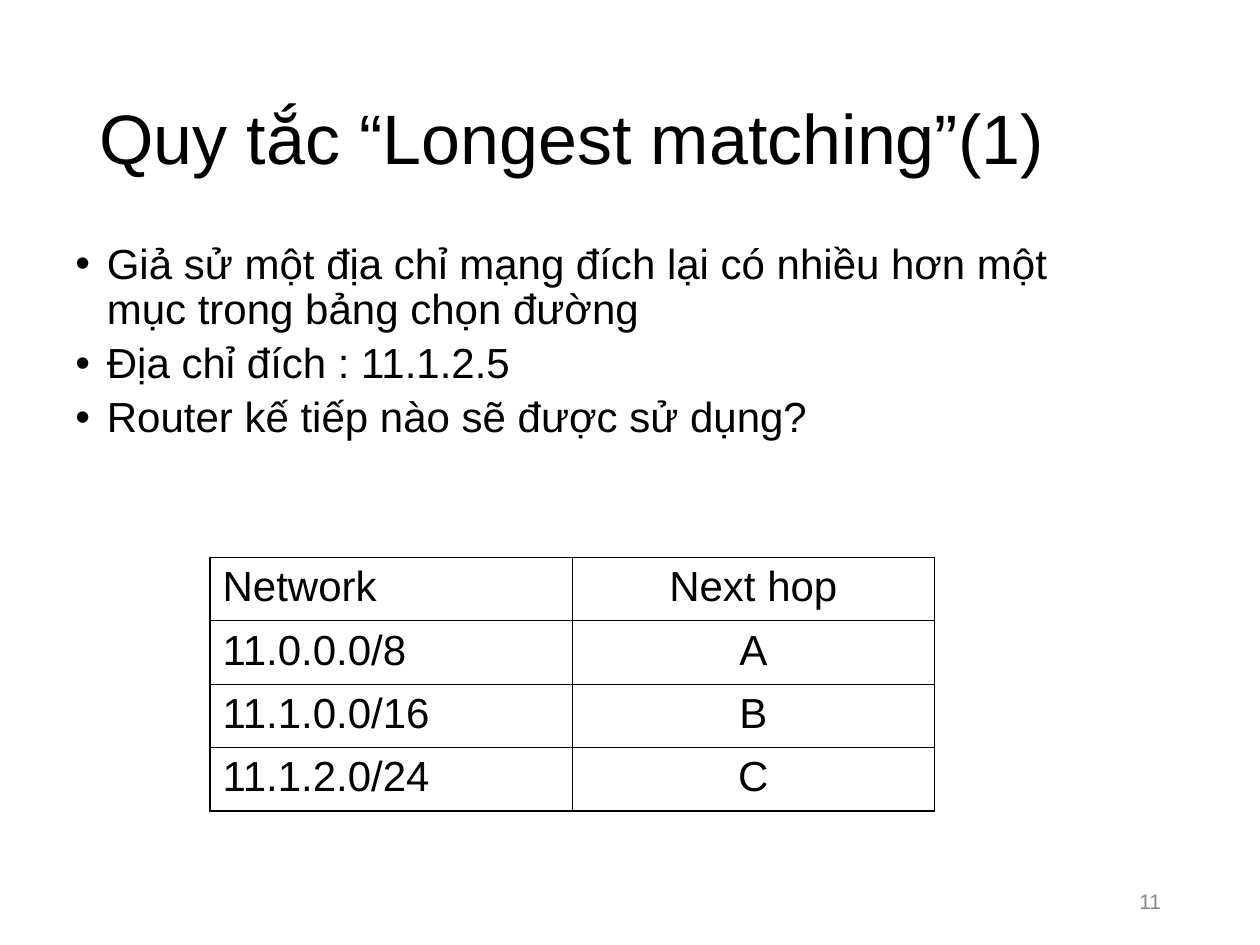
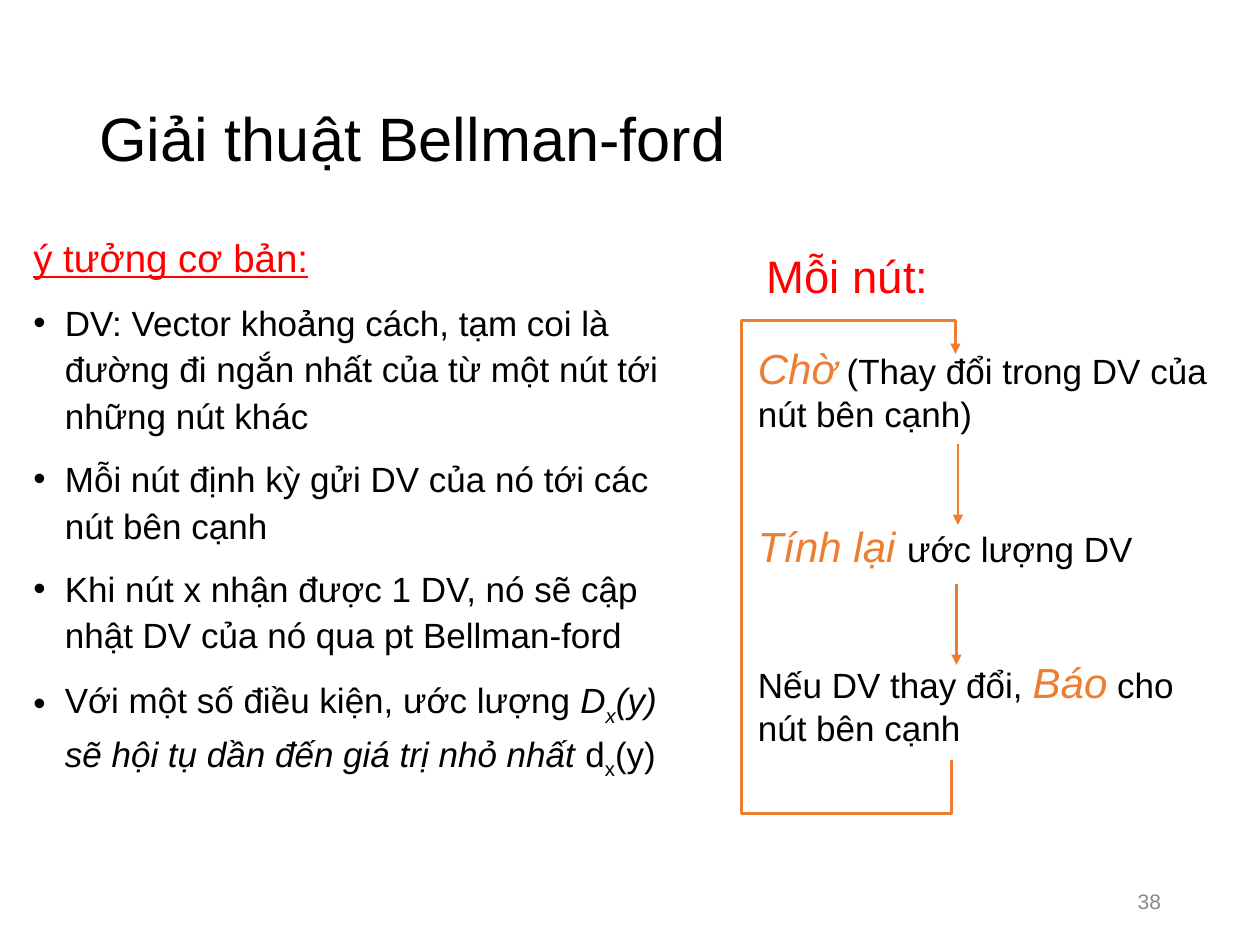
from lxml import etree
from pptx import Presentation
from pptx.dml.color import RGBColor
from pptx.enum.shapes import MSO_CONNECTOR as Connector
from pptx.enum.text import MSO_ANCHOR as Anchor, PP_ALIGN as Align
from pptx.oxml.ns import qn
from pptx.util import Pt

# Shared look
FONT = "Arial"
BLACK = RGBColor(0x00, 0x00, 0x00)
RED = RGBColor(0xFF, 0x00, 0x00)
ORANGE = RGBColor(0xED, 0x7D, 0x31)
GREY = RGBColor(0x89, 0x89, 0x89)
BODY_TOP = 135.4
FLOW_WIDTH = 1.5
OUTER_BORDER, INNER_BORDER = 1.08, 0.45

# Run styles
ITALIC = {"italic": True}
KEYWORD = {"size": 24, "color": ORANGE, "italic": True}


def format_run(run, size, color=BLACK, italic=False, underline=False, baseline=0):
    font = run.font
    font.name, font.size, font.color.rgb = FONT, Pt(size), color
    font.italic, font.underline = italic, underline
    if baseline:
        run._r.get_or_add_rPr().set("baseline", str(baseline * 1000))


def add_bullet(paragraph):
    properties = paragraph._p.get_or_add_pPr()
    color = etree.SubElement(properties, qn("a:buClr"))
    etree.SubElement(color, qn("a:srgbClr"), val=str(BLACK))
    etree.SubElement(properties, qn("a:buFont"), typeface=FONT)
    etree.SubElement(properties, qn("a:buChar"), char="•")


def set_indent(paragraph, left, hanging):
    properties = paragraph._p.get_or_add_pPr()
    properties.set("marL", str(Pt(left)))
    properties.set("indent", str(-Pt(hanging)))


def fill_paragraph(paragraph, content, size, **style):
    """Content is a string, or a list of strings and (string, style) pairs."""
    parts = [content] if isinstance(content, str) else content
    for part in parts:
        text, changes = (part, {}) if isinstance(part, str) else part
        run = paragraph.add_run()
        run.text = text
        format_run(run, **{"size": size, **style, **changes})


def add_text_frame(slide, left, top, width, height, anchor=Anchor.TOP):
    box = slide.shapes.add_textbox(Pt(left), Pt(top), Pt(width), Pt(height))
    text_frame = box.text_frame
    text_frame.word_wrap = True
    text_frame.vertical_anchor = anchor
    return text_frame


def next_paragraph(text_frame, space_before):
    """Return the empty first paragraph, or a new one with space before it."""
    if not text_frame.paragraphs[0].runs:
        return text_frame.paragraphs[0]
    paragraph = text_frame.add_paragraph()
    paragraph.space_before = Pt(space_before)
    return paragraph


def add_bullets(text_frame, items, size, left, line_spacing, space_before):
    for item in items:
        paragraph = next_paragraph(text_frame, space_before)
        set_indent(paragraph, left, 18)
        add_bullet(paragraph)
        paragraph.line_spacing = line_spacing
        fill_paragraph(paragraph, item, size)


def add_page(presentation, title, title_size, number):
    slide = presentation.slides.add_slide(presentation.slide_layouts[6])
    heading = add_text_frame(slide, 49.5, 28.8, 621.5, 104.4, Anchor.MIDDLE).paragraphs[0]
    heading.line_spacing = 0.9
    fill_paragraph(heading, title, title_size)
    footer = add_text_frame(slide, 508.5, 500.5, 162, 28.8, Anchor.MIDDLE).paragraphs[0]
    footer.alignment = Align.RIGHT
    fill_paragraph(footer, str(number), 12, color=GREY)
    return slide


def set_borders(cell, widths):
    properties = cell._tc.get_or_add_tcPr()
    for side in "LRTB":
        line = etree.SubElement(properties, qn(f"a:ln{side}"), w=str(Pt(widths[side])))
        fill = etree.SubElement(line, qn("a:solidFill"))
        etree.SubElement(fill, qn("a:srgbClr"), val=str(BLACK))


def add_routing_table(slide, rows, left, top, column_width, row_height):
    row_count, column_count = len(rows), len(rows[0])
    table = slide.shapes.add_table(
        row_count, column_count, Pt(left), Pt(top),
        Pt(column_width * column_count), Pt(row_height * row_count)).table
    table.first_row = table.horz_banding = False
    for r, row in enumerate(rows):
        for c, text in enumerate(row):
            cell = table.cell(r, c)
            on_edge = {"L": c == 0, "R": c == column_count - 1,
                       "T": r == 0, "B": r == row_count - 1}
            set_borders(cell, {side: OUTER_BORDER if edge else INNER_BORDER
                               for side, edge in on_edge.items()})
            cell.fill.background()
            paragraph = cell.text_frame.paragraphs[0]
            paragraph.alignment = Align.CENTER if c else Align.LEFT
            fill_paragraph(paragraph, text, 24)


def style_arrow(shape):
    shape.line.color.rgb = ORANGE
    shape.line.width = Pt(FLOW_WIDTH)
    etree.SubElement(shape.line._get_or_add_ln(), qn("a:tailEnd"), type="triangle")


def add_down_arrow(slide, x, top, bottom):
    arrow = slide.shapes.add_connector(Connector.STRAIGHT, Pt(x), Pt(top), Pt(x), Pt(bottom))
    style_arrow(arrow)
    etree.SubElement(arrow._element.spPr, qn("a:effectLst"))


def add_loop_arrow(slide, points):
    start, *others = [(Pt(x), Pt(y)) for x, y in points]
    builder = slide.shapes.build_freeform(*start)
    builder.add_line_segments(others, close=False)
    loop = builder.convert_to_shape()
    loop.fill.background()
    style_arrow(loop)
    loop.shadow.inherit = False


def build_matching_slide(presentation):
    slide = add_page(presentation, "Quy tắc “Longest matching”(1)", 40, 11)
    add_routing_table(slide, [
        ("Network", "Next hop"),
        ("11.0.0.0/8", "A"),
        ("11.1.0.0/16", "B"),
        ("11.1.2.0/24", "C"),
    ], left=120, top=318.5, column_width=207, row_height=36.2)
    question = add_text_frame(slide, 0, BODY_TOP, 648, 347)
    add_bullets(question, [
        "Giả sử một địa chỉ mạng đích lại có nhiều hơn một mục trong bảng chọn đường",
        "Địa chỉ đích : 11.1.2.5",
        "Router kế tiếp nào sẽ được sử dụng?",
    ], size=24, left=54, line_spacing=0.9, space_before=5)


def build_bellman_ford_slide(presentation):
    slide = add_page(presentation, "Giải thuật Bellman-ford", 35, 38)

    # Basic idea
    idea = add_text_frame(slide, 12, BODY_TOP, 396, 363)
    heading = next_paragraph(idea, 0)
    set_indent(heading, 18, 18)
    heading.line_spacing = 0.8
    fill_paragraph(heading, "ý tưởng cơ bản:", 22, color=RED, underline=True)
    add_bullets(idea, [
        "DV: Vector khoảng cách, tạm coi là đường đi ngắn nhất của từ một nút tới những nút khác",
        "Mỗi nút định kỳ gửi DV của nó tới các nút bên cạnh",
        "Khi nút x nhận được 1 DV, nó sẽ cập nhật DV của nó qua pt Bellman-ford",
        ["Với một số điều kiện, ước lượng ", ("D", ITALIC),
         ("x", {"italic": True, "baseline": -30}),
         ("(y) sẽ hội tụ dần đến giá trị nhỏ nhất ", ITALIC),
         "d", ("x", {"baseline": -25}), "(y)"],
    ], size=20, left=18, line_spacing=1.1, space_before=10)

    # Steps run by each node
    steps = add_text_frame(slide, 426, 192, 277, 276)
    for step in (
        [("Chờ", KEYWORD), " (Thay đổi trong DV của nút bên cạnh)"],
        [("Tính lại ", KEYWORD), "ước lượng DV"],
        ["Nếu DV thay đổi, ", ("Báo", KEYWORD), " cho nút bên cạnh"],
    ):
        fill_paragraph(next_paragraph(steps, 49), step, 20)
    caption = add_text_frame(slide, 424.5, 138.2, 120, 39).paragraphs[0]
    caption.alignment = Align.CENTER
    fill_paragraph(caption, "Mỗi nút:", 26, color=RED)

    # Flow between the steps and back to the first
    add_down_arrow(slide, 547.4, 253.5, 300)
    add_down_arrow(slide, 546.6, 334, 380)
    add_loop_arrow(slide, [(543.7, 434.2), (543.7, 465), (423.8, 465),
                           (423.8, 183), (546, 183), (546, 202.3)])


def main():
    presentation = Presentation()
    presentation.slide_width, presentation.slide_height = Pt(720), Pt(540)
    build_matching_slide(presentation)
    build_bellman_ford_slide(presentation)
    presentation.save("out.pptx")


if __name__ == "__main__":
    main()
